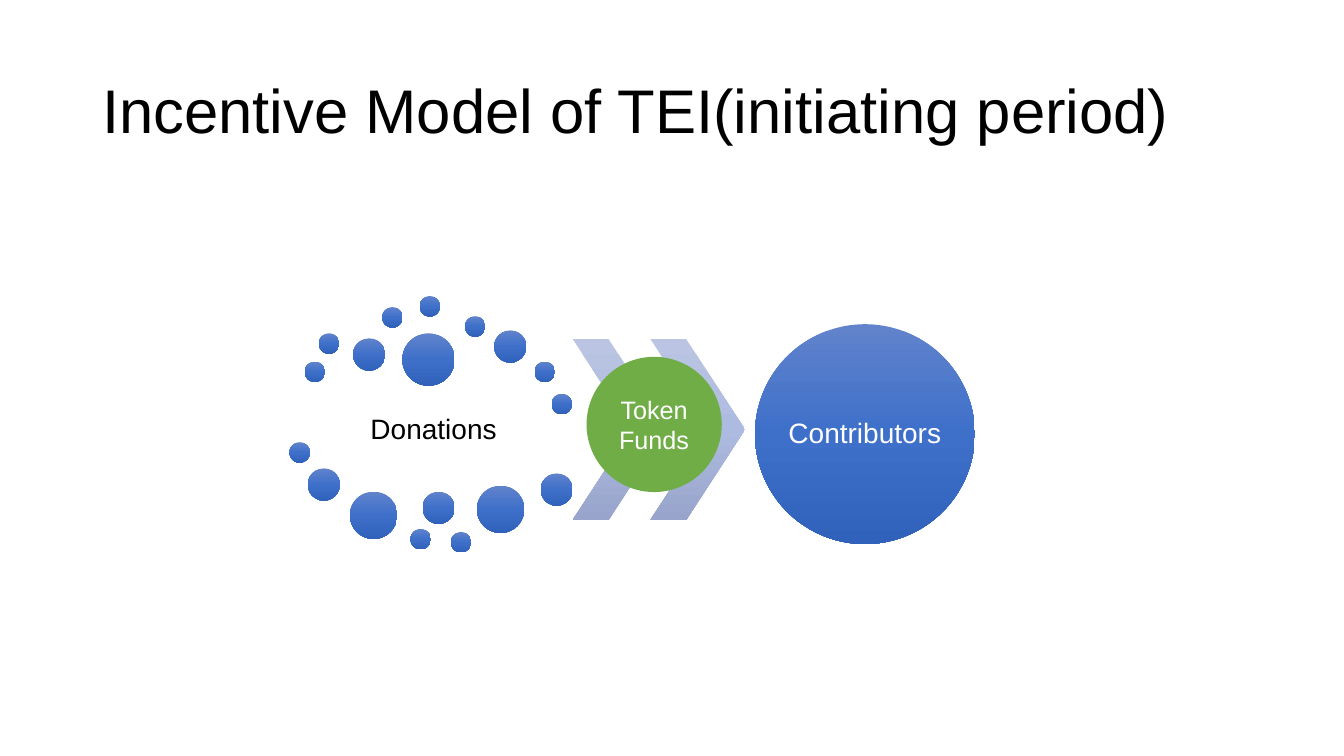
import copy
from collections import namedtuple

import pptx
import pptx.util
from pptx.dml.color import RGBColor
from pptx.enum.shapes import MSO_SHAPE
from pptx.enum.text import MSO_ANCHOR, PP_ALIGN

Pt = pptx.util.Pt
Box = namedtuple("Box", "left top width height")

BLACK = RGBColor(0x00, 0x00, 0x00)
WHITE = RGBColor(0xFF, 0xFF, 0xFF)
GREEN = RGBColor(0x70, 0xAD, 0x47)
BLUES = (RGBColor(0x61, 0x83, 0xCB), RGBColor(0x3E, 0x70, 0xCA), RGBColor(0x30, 0x62, 0xBB))
PALE_BLUES = (RGBColor(0xBB, 0xC5, 0xE3), RGBColor(0xAE, 0xBB, 0xE0), RGBColor(0x98, 0xA4, 0xCB))

SMALL, MEDIUM, LARGE, HUGE = 14.6, 23, 33.8, 37.4
# Left and top of each dot within the donations box
DOTS = {
    SMALL: [(10.8, 46.8), (20.9, 26.6), (66.2, 7.9), (92.9, 0), (125.3, 14.4),
            (175, 46.8), (187.2, 69.8), (0, 104.4), (86.4, 166.3), (115.2, 168.5)],
    MEDIUM: [(45.4, 30.2), (146.2, 24.5), (13, 123.1), (95, 139.7), (179.3, 126.7)],
    LARGE: [(43.2, 139.7), (133.9, 135.4)],
    HUGE: [(80.6, 26.6)],
}


def in_points(box):
    return [Pt(length) for length in box]


def fill_gradient(shape, colors):
    """Fill from top to bottom with evenly spaced colours."""
    shape.fill.gradient()
    shape.fill.gradient_angle = 270
    first_stop, last_stop = shape._element.spPr.xpath(".//a:gs")
    for _ in colors[2:]:
        last_stop.addprevious(copy.deepcopy(first_stop))
    for index, (stop, color) in enumerate(zip(shape.fill.gradient_stops, colors)):
        stop.position = index / (len(colors) - 1)
        stop.color.rgb = color


def add_figure(page, kind, box, colors):
    shape = page.shapes.add_shape(kind, *in_points(box))
    shape.shadow.inherit = False
    shape.line.fill.background()
    if len(colors) == 1:
        shape.fill.solid()
        shape.fill.fore_color.rgb = colors[0]
    else:
        fill_gradient(shape, colors)
    return shape


def write(shape, text, size, color, align=PP_ALIGN.CENTER, spacing=0.9, inset=None):
    frame = shape.text_frame
    frame_format = {"word_wrap": True, "vertical_anchor": MSO_ANCHOR.MIDDLE}
    if inset is not None:
        for side in ("left", "right", "top", "bottom"):
            frame_format["margin_" + side] = Pt(inset)
    for name, value in frame_format.items():
        setattr(frame, name, value)
    para = frame.paragraphs[0]
    para.alignment = align
    para.line_spacing = spacing
    span = para.add_run()
    span.text = text
    for name, value in {"name": "Arial", "size": Pt(size)}.items():
        setattr(span.font, name, value)
    span.font.color.rgb = color


def add_title(page, box):
    title = page.shapes.add_textbox(*in_points(box))
    write(title, "Incentive Model of TEI(initiating period)", 44, BLACK, PP_ALIGN.LEFT)


def add_donations(page, box):
    label_box = Box(box.left + 10.8, box.top + 65.5, 184.3, 60.5)
    label = page.shapes.add_textbox(*in_points(label_box))
    write(label, "Donations", 20, BLACK, inset=2)
    for size, places in DOTS.items():
        for left, top in places:
            dot_box = Box(box.left + left, box.top + top, size, size)
            add_figure(page, MSO_SHAPE.OVAL, dot_box, BLUES)


def add_token_funds(page, box):
    """Two chevrons spanning the box, with the funds circle over them."""
    chevron_width = 67.7
    for left in (box.left, box.left + box.width - chevron_width):
        chevron_box = Box(left, box.top, chevron_width, box.height)
        chevron = add_figure(page, MSO_SHAPE.CHEVRON, chevron_box, PALE_BLUES)
        chevron.adjustments[0] = 0.623
    circle_box = Box(box.left + 10, box.top + 12.9, 96.6, 96.6)
    circle = add_figure(page, MSO_SHAPE.OVAL, circle_box, [GREEN])
    write(circle, "Token Funds", 18, WHITE, spacing=1.0)


def add_contributors(page, box):
    circle = add_figure(page, MSO_SHAPE.OVAL, box, BLUES)
    write(circle, "Contributors", 20, WHITE, inset=0)


def main():
    deck = pptx.Presentation()
    deck.slide_width, deck.slide_height = Pt(960), Pt(540)
    page = deck.slides.add_slide(deck.slide_layouts[6])
    add_title(page, Box(66, 28.8, 828, 104.4))
    add_donations(page, Box(206.8, 211.5, 202.3, 183))
    add_token_funds(page, Box(409, 242, 123.2, 129.6))
    add_contributors(page, Box(539.3, 231.6, 157, 157))
    deck.save("out.pptx")


if __name__ == "__main__":
    main()
